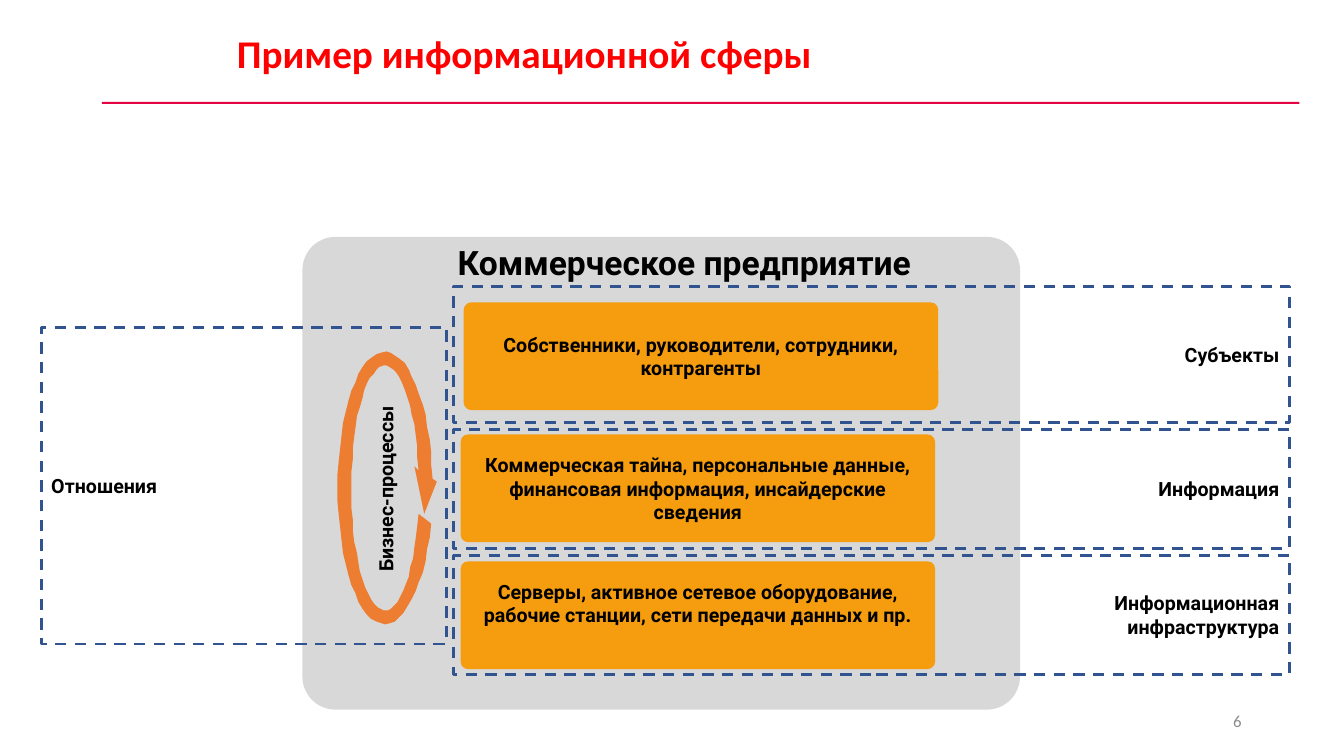
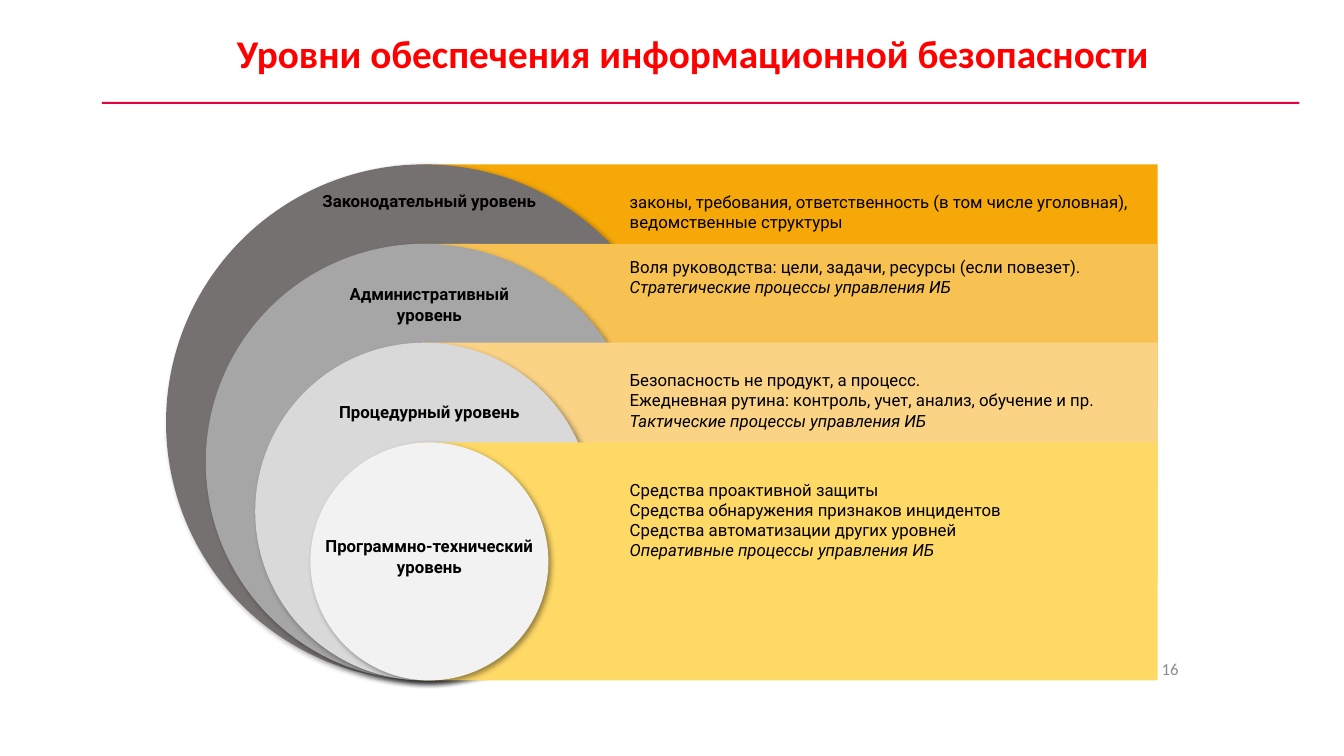
from math import cos, radians, sin

from lxml.etree import SubElement
from pptx import Presentation
from pptx.dml.color import RGBColor
from pptx.enum.dml import MSO_LINE
from pptx.enum.shapes import MSO_SHAPE
from pptx.enum.text import MSO_ANCHOR, MSO_AUTO_SIZE, PP_ALIGN
from pptx.oxml.ns import qn
from pptx.util import Pt

COLORS = {
    "title": "FF0000", "rule": "E20443", "number": "8C8C8C", "text": "000000",
    "enterprise": "D8D8D8", "box": "F59D0E", "frame": "31538F", "cycle": "ED7D31",
    "law band": "F5A808", "law disc": "767171",
    "admin band": "F8C252", "admin disc": "A6A6A6",
    "process band": "FAD385", "process disc": "D9D9D9",
    "tech band": "FFD966", "tech disc": "F2F2F2",
}
INSETS = (7.2, 3.6, 7.2, 3.6)  # left, top, right, bottom


def rgb(name):
    return RGBColor.from_string(COLORS[name])


def arc(center, radii, start, end, steps=60):
    """Points along an ellipse between two angles in degrees."""
    angles = [radians(start + (end - start) * i / steps) for i in range(steps + 1)]
    return [(center[0] + radii[0] * cos(a), center[1] + radii[1] * sin(a))
            for a in angles]


class Deck:
    """Holds the shared style and the slide being built."""

    def __init__(self):
        self.prs = Presentation()
        self.prs.slide_width, self.prs.slide_height = Pt(960), Pt(540)
        self.slide = None

    def add_page(self, title, number, number_at):
        self.slide = self.prs.slides.add_slide(self.prs.slide_layouts[5])
        self.shape((72.7, 72.7, 855.4, 1.5), "rule")
        heading = self.slide.shapes.title
        heading.left, heading.top, heading.width, heading.height = map(
            Pt, (162, 17.3, 771, 41))
        self.fill_text(heading, [title], 28, bold=True, font="Calibri", color="title")
        self.text((*number_at, 216, 28.8), [number], 12, font="Calibri",
                  color="number", align=PP_ALIGN.RIGHT, anchor=MSO_ANCHOR.MIDDLE)

    def fill_text(self, shape, lines, size, bold=False, font="Roboto", color="text",
                  align=PP_ALIGN.LEFT, anchor=MSO_ANCHOR.TOP, insets=INSETS,
                  italic_last=False):
        frame = shape.text_frame
        frame.word_wrap, frame.auto_size = True, MSO_AUTO_SIZE.NONE
        frame.vertical_anchor = anchor
        (frame.margin_left, frame.margin_top,
         frame.margin_right, frame.margin_bottom) = map(Pt, insets)
        frame.text = "\n".join(lines)
        for paragraph in frame.paragraphs:
            paragraph.alignment = align
            style = paragraph.font
            style.name, style.size, style.bold = font, Pt(size), bold
            style.color.rgb = rgb(color)
        if italic_last:
            frame.paragraphs[-1].font.italic = True

    def text(self, box, lines, size, rotation=0, **style):
        label = self.slide.shapes.add_textbox(*map(Pt, box))
        label.rotation = rotation
        self.fill_text(label, lines, size, **style)

    def paint(self, shape, fill):
        shape.shadow.inherit = False
        shape.fill.solid()
        shape.fill.fore_color.rgb = rgb(fill)
        shape.line.fill.background()

    def shape(self, box, fill, preset=MSO_SHAPE.RECTANGLE):
        shape = self.slide.shapes.add_shape(preset, *map(Pt, box))
        self.paint(shape, fill)
        return shape

    def rounded(self, box, fill):
        shape = self.shape(box, fill, MSO_SHAPE.ROUNDED_RECTANGLE)
        shape.adjustments[0] = 0.07
        return shape

    def dashed_frame(self, box, label, **style):
        frame = self.shape(box, "frame")
        frame.fill.background()
        frame.line.color.rgb = rgb("frame")
        frame.line.width = Pt(2)
        frame.line.dash_style = MSO_LINE.DASH
        self.fill_text(frame, [label], 14, bold=True, anchor=MSO_ANCHOR.MIDDLE, **style)

    def outline(self, points, fill):
        builder = self.slide.shapes.build_freeform(*points[0], scale=float(Pt(1)))
        builder.add_line_segments(points[1:], close=True)
        self.paint(builder.convert_to_shape(), fill)

    def disc(self, center_x, bottom, diameter, fill):
        disc = self.shape((center_x - diameter / 2, bottom - diameter,
                           diameter, diameter), fill, MSO_SHAPE.OVAL)
        effects = disc._element.spPr.find(qn("a:effectLst"))
        shadow = SubElement(effects, qn("a:outerShdw"), blurRad=str(Pt(4)),
                            dist=str(Pt(3)), dir="2700000", algn="tl",
                            rotWithShape="0")
        tint = SubElement(shadow, qn("a:srgbClr"), val=COLORS["text"])
        SubElement(tint, qn("a:alpha"), val="40000")


def build_sphere(deck):
    deck.add_page("Пример информационной сферы", "6", (678, 500.4))

    # Enterprise and its three layers
    deck.rounded((216, 169.2, 512.6, 337.7), "enterprise")
    deck.text((267.8, 169.2, 442, 65.5), ["Коммерческое предприятие"], 24,
              bold=True, align=PP_ALIGN.CENTER)
    middle, top = MSO_ANCHOR.MIDDLE, MSO_ANCHOR.TOP
    layers = [
        (331.2, 216, "Собственники, руководители, сотрудники, контрагенты",
         middle, 3),
        (329, 310.3, "Коммерческая тайна, персональные данные, "
         "финансовая информация, инсайдерские сведения", middle, 3),
        (329, 401, "Серверы, активное сетевое оборудование, "
         "рабочие станции, сети передачи данных и пр.", top, 11.5),
    ]
    for left, y, content, anchor, inset_top in layers:
        box = deck.rounded((left, y, 339, 77), "box")
        deck.fill_text(box, [content], 14, bold=True, align=PP_ALIGN.CENTER,
                       anchor=anchor, insets=(3, inset_top, 3, 3))

    # Business process cycle
    center = (275, 348.5)
    arrowhead = [(311.8, 344.2), (303.1, 367.2), (295.9, 333.4)]
    deck.outline(arc(center, (33.9, 97.2), 15.5, 356) + arrowhead
                 + arc(center, (24.1, 87.3), 351.5, 12.4), "cycle")
    deck.text((191.5, 337, 168.5, 24.5), ["Бизнес-процессы"], 14, rotation=270,
              bold=True, align=PP_ALIGN.CENTER)

    # Dashed frames naming the parts of the sphere
    parts = [(204.5, 97.2, "Субъекты"), (306.7, 85, "Информация"),
             (396.7, 85, "Информационная инфраструктура")]
    for y, height, part in parts:
        deck.dashed_frame((324, y, 597, height), part, align=PP_ALIGN.RIGHT,
                          insets=(367, 3.6, 7.2, 3.6))
    deck.dashed_frame((29.5, 234, 289.5, 226), "Отношения")


def build_levels(deck):
    deck.add_page("Уровни обеспечения информационной безопасности", "16",
                  (633, 463.7))
    bottom, label_center = 486, 306.7

    # Bands with descriptions, each under its disc
    levels = [
        ("law", 368.6, 302.9, 19.5,
         ["законы, требования, ответственность (в том числе уголовная), "
          "ведомственные структуры"]),
        ("admin", 311.8, 302.9, 9.4,
         ["Воля руководства: цели, задачи, ресурсы (если повезет).",
          "Стратегические процессы управления ИБ"]),
        ("process", 241.2, 302.9, 19.5,
         ["Безопасность не продукт, а процесс.",
          "Ежедневная рутина: контроль, учет, анализ, обучение и пр.",
          "Тактические процессы управления ИБ"]),
        ("tech", 170, 306.7, 26.6,
         ["Средства проактивной защиты",
          "Средства обнаружения признаков инцидентов",
          "Средства автоматизации других уровней",
          "Оперативные процессы управления ИБ"]),
    ]
    for level, diameter, center_x, inset_top, description in levels:
        band = deck.shape((301.3, bottom - diameter, 525.7, 170), f"{level} band")
        deck.fill_text(band, description, 12, insets=(148.5, inset_top, 7.2, 0),
                       italic_last=len(description) > 1)
        deck.disc(center_x, bottom, diameter, f"{level} disc")

    # Level names
    names = [(132.5, 176, "Законодательный уровень"),
             (199.4, 164, "Административный уровень"),
             (283.7, 220, "Процедурный уровень"),
             (379.4, 164, "Программно-технический уровень")]
    for y, width, name in names:
        deck.text((label_center - width / 2, y, width, 36), [name], 12,
                  bold=True, align=PP_ALIGN.CENTER)


def main():
    deck = Deck()
    build_sphere(deck)
    build_levels(deck)
    deck.prs.save("out.pptx")


if __name__ == "__main__":
    main()
